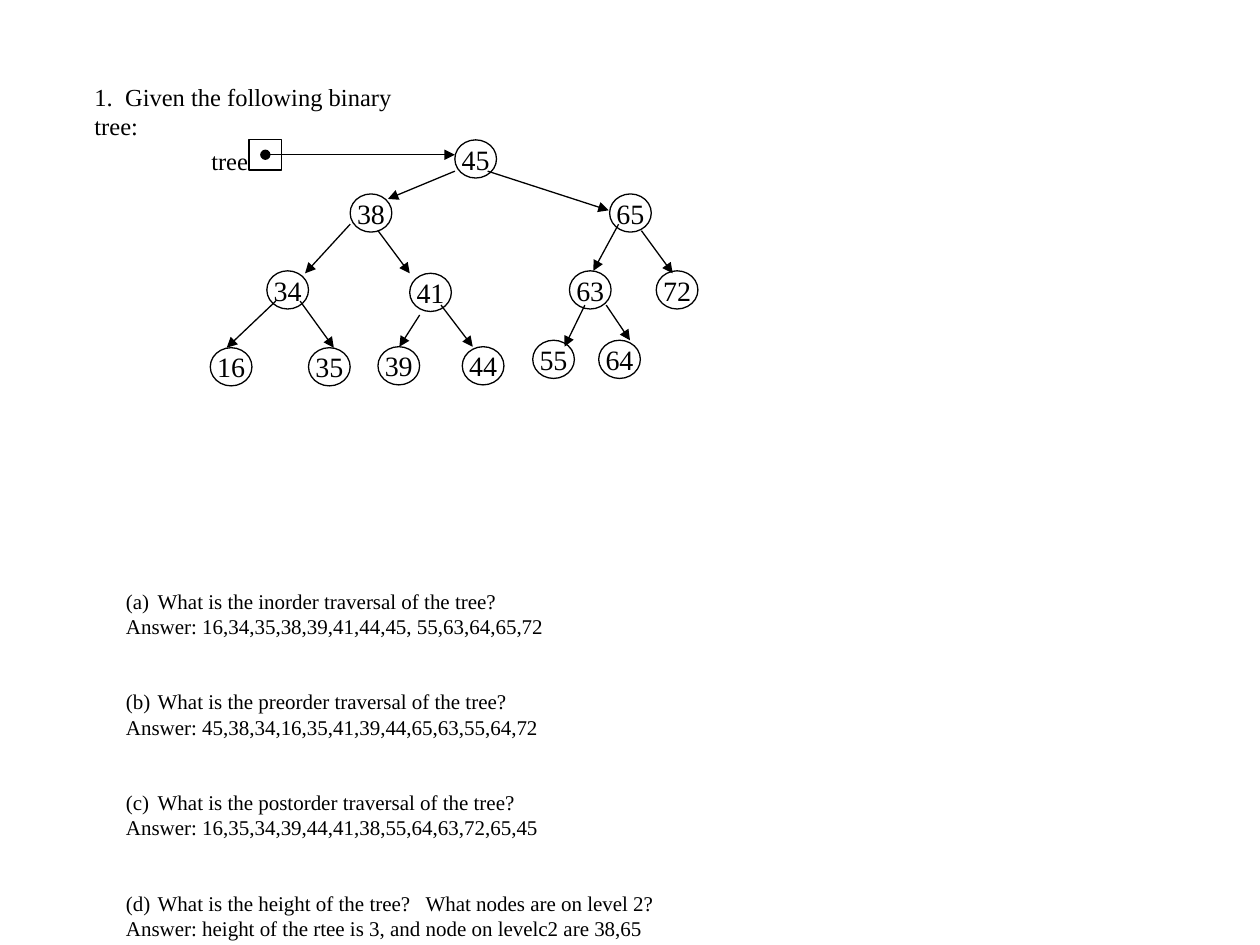
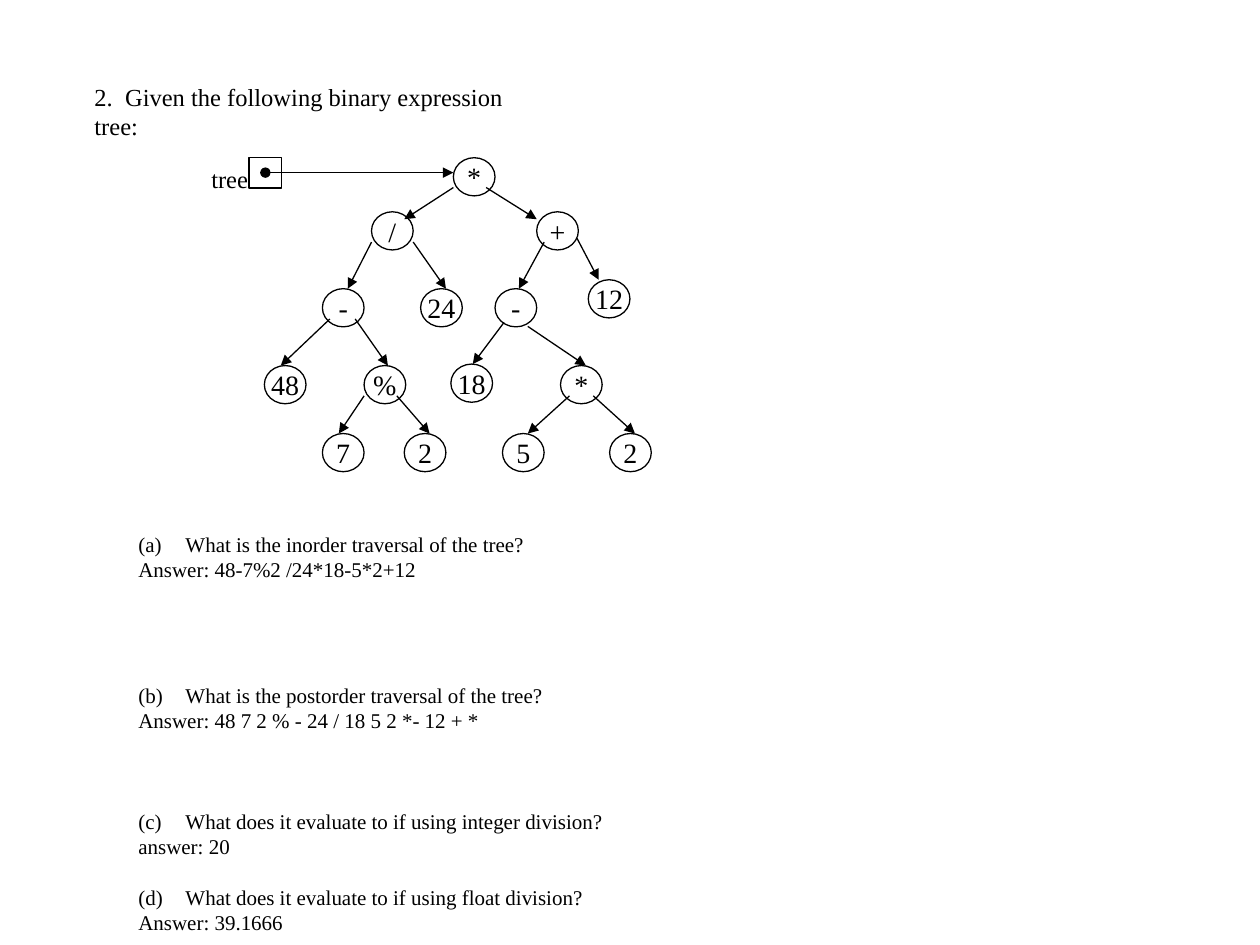
from lxml import etree
from pptx import Presentation
from pptx import util as u
from pptx.dml.color import RGBColor
from pptx.enum import shapes, text
from pptx.oxml.ns import qn

INK, FACE = "000000", "Times New Roman"
LEAD = 1.2  # line pitch as a multiple of the font size
NODE = (0.84, 0.77)

# Node: label, left, top, then the ends of the arrow that leads to it (cm).
# Question: blank lines above it, question, answer.
PAGES = [
    dict(
        title="1.  Given the following binary tree:", width=7.49,
        root=("45", 9.17, 2.82),
        nodes=[
            ("38", 7.06, 3.91, (9.17, 3.45), (7.82, 4.01)),
            ("65", 12.29, 3.91, (9.83, 3.45), (12.27, 4.24)),
            ("34", 5.38, 5.46, (7.06, 4.52), (6.15, 5.51)),
            ("41", 8.26, 5.51, (7.62, 4.65), (8.26, 5.51)),
            ("63", 11.48, 5.46, (12.47, 4.52), (11.96, 5.46)),
            ("72", 13.23, 5.46, (12.93, 4.65), (13.56, 5.51)),
            ("16", 4.24, 7.01, (5.56, 6.07), (4.57, 7.01)),
            ("35", 6.22, 7.01, (6.05, 6.07), (6.73, 7.01)),
            ("39", 7.62, 6.99, (8.46, 6.35), (8.05, 6.99)),
            ("44", 9.32, 6.99, (8.89, 6.15), (9.53, 6.99)),
            ("55", 10.74, 6.86, (11.79, 6.15), (11.38, 6.99)),
            ("64", 12.07, 6.86, (12.22, 6.15), (12.7, 6.86)),
        ],
        box=(2.29, 11.73, 11.3, 7.95), indent=0.64,
        quiz=[
            (0, "What is the inorder traversal of the tree?",
             "Answer: 16,34,35,38,39,41,44,45, 55,63,64,65,72"),
            (2, "What is the preorder traversal of the tree?",
             "Answer: 45,38,34,16,35,41,39,44,65,63,55,64,72"),
            (2, "What is the postorder traversal of the tree?",
             "Answer: 16,35,34,39,44,41,38,55,64,63,72,65,45"),
            (2, "What is the height of the tree?   What nodes are on level 2?",
             "Answer: height of the rtee is 3, and node on levelc2 are 38,65"),
        ],
    ),
    dict(
        title="2.  Given the following binary expression tree:", width=9.73,
        root=("*", 9.14, 3.18),
        nodes=[
            ("/", 7.49, 4.27, (9.14, 3.78), (8.15, 4.42)),
            ("+", 10.82, 4.27, (9.8, 3.78), (10.82, 4.42)),
            ("-", 6.5, 5.82, (7.49, 4.88), (7.01, 5.82)),
            ("24", 8.48, 5.82, (8.33, 4.88), (8.99, 5.82)),
            ("-", 9.98, 5.82, (10.97, 4.88), (10.46, 5.82)),
            ("12", 11.86, 5.64, (11.63, 4.8), (12.07, 5.64)),
            ("48", 5.33, 7.37, (6.65, 6.43), (5.66, 7.37)),
            ("%", 7.34, 7.37, (7.16, 6.43), (7.82, 7.37)),
            ("18", 9.09, 7.34, (10.16, 6.5), (9.53, 7.34)),
            ("*", 11.3, 7.37, (10.64, 6.58), (11.81, 7.37)),
            ("7", 6.5, 8.74, (7.34, 7.98), (6.83, 8.74)),
            ("2", 8.15, 8.74, (8.0, 7.98), (8.66, 8.74)),
            ("5", 10.13, 8.74, (11.48, 7.98), (10.64, 8.74)),
            ("2", 12.29, 8.74, (11.96, 7.98), (12.8, 8.74)),
        ],
        box=(2.54, 10.59, 10.01, 10.01), indent=0.95,
        quiz=[
            (0, "What is the inorder traversal of the tree?",
             "Answer: 48-7%2 /24*18-5*2+12"),
            (4, "What is the postorder traversal of the tree?",
             "Answer: 48 7 2 % - 24 / 18 5 2 *- 12 + *"),
            (3, "What does it evaluate to if using integer division?",
             "answer: 20"),
            (1, "What does it evaluate to if using float division?",
             "Answer: 39.1666"),
        ],
    ),
]


def cm(*sizes):
    return [u.Cm(size) for size in sizes]


def tint(color, code=INK):
    color.rgb = RGBColor.from_string(code)


def write(para, words, size, align=text.PP_ALIGN.LEFT):
    para.text = words
    para.alignment = align
    para.line_spacing = u.Pt(round(size * LEAD, 1))
    para.font.name, para.font.size = FACE, u.Pt(size)
    tint(para.font.color)


def outline(item):
    item.line.width = u.Pt(0.75)
    tint(item.line.color)


def shape(slide, kind, place):
    item = slide.shapes.add_shape(kind, *cm(*place))
    item.shadow.inherit = False
    item.fill.background()
    outline(item)
    return item


def node(slide, label, left, top):
    oval = shape(slide, shapes.MSO_SHAPE.OVAL, (left, top, *NODE))
    frame = oval.text_frame
    frame.word_wrap = False
    frame.vertical_anchor = text.MSO_ANCHOR.MIDDLE
    frame.margin_left = frame.margin_right = 0
    frame.margin_top = frame.margin_bottom = 0
    write(frame.paragraphs[0], label, 16, text.PP_ALIGN.CENTER)


def arrow(slide, start, end, dot=False):
    line = slide.shapes.add_connector(
        shapes.MSO_CONNECTOR.STRAIGHT, *cm(*start, *end))
    outline(line)
    stroke = line.line._get_or_add_ln()
    if dot:
        etree.SubElement(stroke, qn("a:headEnd"), type="oval")
    etree.SubElement(stroke, qn("a:tailEnd"), type="triangle")
    etree.SubElement(line._element.spPr, qn("a:effectLst"))


def number(para, rank, indent):
    """Give the paragraph an automatic (a), (b), ... with a hanging indent."""
    props = para._p.get_or_add_pPr()
    props.set("marL", str(u.Cm(indent)))
    props.set("indent", str(-u.Cm(indent)))
    mark = etree.Element(
        qn("a:buAutoNum"), type="alphaLcParenBoth", startAt=str(rank))
    props.find(qn("a:defRPr")).addprevious(mark)


def heading(slide, words, width):
    title = slide.shapes.title
    title.left, title.top, title.width, title.height = cm(
        1.65, 1.52, width, 0.84)
    frame = title.text_frame
    frame.word_wrap = True
    frame.auto_size = text.MSO_AUTO_SIZE.NONE
    frame.vertical_anchor = text.MSO_ANCHOR.TOP
    write(frame.paragraphs[0], words, 14)


def tree(slide, root, nodes):
    label, left, top = root
    node(slide, label, left, top)
    for name, x, y, start, end in nodes:
        node(slide, name, x, y)
        arrow(slide, start, end)
    shape(slide, shapes.MSO_SHAPE.RECTANGLE, (5.02, top, 0.66, 0.61))
    frame = slide.shapes.add_textbox(*cm(4.01, top, 1.25, 0.84)).text_frame
    frame.word_wrap = False
    frame.margin_right = 0
    write(frame.paragraphs[0], "tree", 14)
    arrow(slide, (5.35, top + 0.3), (left, top + 0.3), dot=True)


def questions(slide, quiz, box, indent):
    frame = slide.shapes.add_textbox(*cm(*box)).text_frame
    frame.word_wrap = True
    for rank, (blanks, ask, reply) in enumerate(quiz, 1):
        para = frame.paragraphs[0] if rank == 1 else frame.add_paragraph()
        write(para, ask, 12)
        para.space_before = u.Pt(round(blanks * 12 * LEAD, 1))
        number(para, rank, indent)
        write(frame.add_paragraph(), reply, 12)


def main():
    deck = Presentation()
    deck.slide_width, deck.slide_height = cm(25.4, 19.05)
    plain = deck.slide_layouts.get_by_name("Title Only")
    for page in PAGES:
        slide = deck.slides.add_slide(plain)
        heading(slide, page["title"], page["width"])
        questions(slide, page["quiz"], page["box"], page["indent"])
        tree(slide, page["root"], page["nodes"])
    deck.save("out.pptx")


if __name__ == "__main__":
    main()
